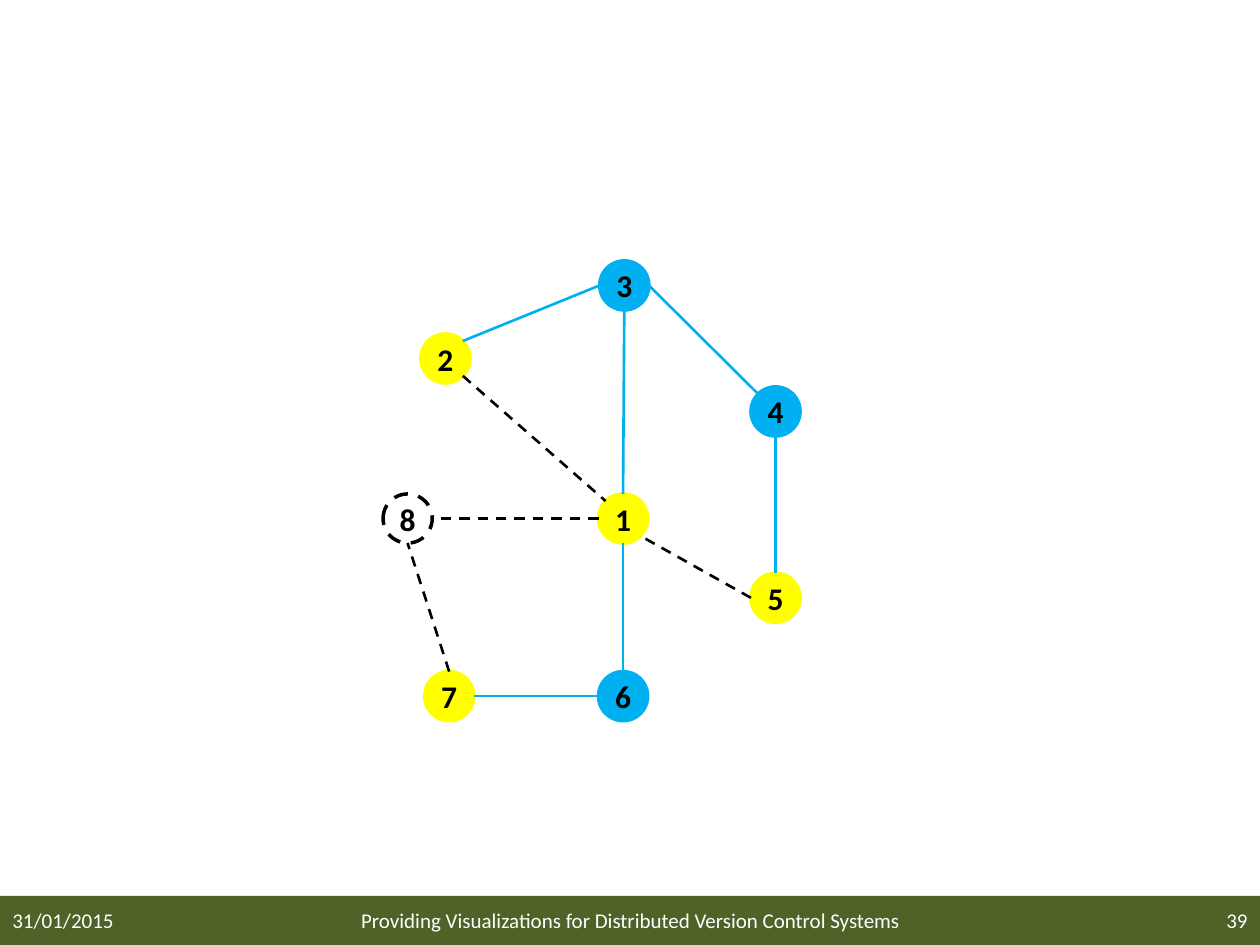
from dataclasses import dataclass

from lxml import etree
from pptx import Presentation
from pptx.dml.color import RGBColor
from pptx.enum.dml import MSO_LINE
from pptx.enum.shapes import MSO_CONNECTOR, MSO_SHAPE
from pptx.enum.text import MSO_ANCHOR, PP_ALIGN
from pptx.oxml.ns import qn
from pptx.util import Inches, Pt

DASH = MSO_LINE.DASH
LINE = MSO_CONNECTOR.STRAIGHT
OVAL, RECT = MSO_SHAPE.OVAL, MSO_SHAPE.RECTANGLE
MIDDLE = MSO_ANCHOR.MIDDLE
LEFT, CENTER, RIGHT = PP_ALIGN.LEFT, PP_ALIGN.CENTER, PP_ALIGN.RIGHT


@dataclass(frozen=True)
class Theme:
    font: str = "Calibri"
    blue: RGBColor = RGBColor(0x00, 0xB0, 0xF0)
    yellow: RGBColor = RGBColor(0xFF, 0xFF, 0x00)
    black: RGBColor = RGBColor(0x00, 0x00, 0x00)
    white: RGBColor = RGBColor(0xFF, 0xFF, 0xFF)
    green: RGBColor = RGBColor(0x4F, 0x62, 0x28)
    node_size: Pt = Pt(18)
    foot_size: Pt = Pt(12)
    node_line: Pt = Pt(2)
    edge_line: Pt = Pt(1.5)


THEME = Theme()
SIZE = 0.39
DIAG = 0.71
SITES = {
    "n": (0, -1), "s": (0, 1), "w": (-1, 0), "e": (1, 0),
    "nw": (-DIAG, -DIAG), "ne": (DIAG, -DIAG),
    "sw": (-DIAG, DIAG), "se": (DIAG, DIAG),
}

# Label: left, top, fill (None for a dashed outline)
NODES = {
    "1": (4.75, 3.92, THEME.yellow),
    "2": (3.34, 2.65, THEME.yellow),
    "3": (4.76, 2.07, THEME.blue),
    "4": (5.96, 3.07, THEME.blue),
    "5": (5.96, 4.55, THEME.yellow),
    "6": (4.75, 5.33, THEME.blue),
    "7": (3.37, 5.33, THEME.yellow),
    "8": (3.04, 3.92, None),
}

# Start node and side, end node and side
SOLID = [
    ("3", "s", "1", "n"),
    ("3", "w", "2", "ne"),
    ("3", "e", "4", "nw"),
    ("4", "s", "5", "n"),
    ("1", "s", "6", "n"),
    ("6", "w", "7", "e"),
]
DASHED = [
    ("1", "w", "8", "e"),
    ("2", "se", "1", "nw"),
    ("5", "w", "1", "se"),
    ("7", "n", "8", "s"),
]

# Text, left, width, alignment
FOOTER = [
    ("31/01/2015", 0, 2.33, LEFT),
    ("Providing Visualizations for Distributed Version Control Systems",
     2.42, 5.17, CENTER),
    ("39", 7.67, 2.33, RIGHT),
]


def set_text(frame, text, size, color, align, bold=False):
    frame.word_wrap = True
    frame.vertical_anchor = MIDDLE
    para = frame.paragraphs[0]
    para.text = text
    para.alignment = align
    font = para.font
    font.name, font.size, font.bold = THEME.font, size, bold
    font.color.rgb = color


def add_node(slide, label, left, top, fill):
    node = slide.shapes.add_shape(
        OVAL, Inches(left), Inches(top), Inches(SIZE), Inches(SIZE))
    node.shadow.inherit = False
    node.line.width = THEME.node_line
    if fill is None:
        node.fill.background()
        node.line.color.rgb = THEME.black
        node.line.dash_style = DASH
    else:
        node.fill.solid()
        node.fill.fore_color.rgb = fill
        node.line.color.rgb = fill
    frame = node.text_frame
    frame.margin_left = frame.margin_right = Inches(0.04)
    frame.margin_top = frame.margin_bottom = Inches(0.04)
    set_text(frame, label, THEME.node_size, THEME.black, CENTER, bold=True)


def site(label, side):
    """Return the point on a node's rim that faces the given side."""
    left, top, _ = NODES[label]
    across, down = SITES[side]
    half = SIZE / 2
    return Inches(left + half * (1 + across)), Inches(top + half * (1 + down))


def add_edge(slide, start, leave, end, enter, color, dash=None):
    edge = slide.shapes.add_connector(
        LINE, *site(start, leave), *site(end, enter))
    edge.line.color.rgb = color
    edge.line.width = THEME.edge_line
    edge.line.dash_style = dash
    etree.SubElement(edge._element.spPr, qn("a:effectLst"))


def add_footer(slide):
    band = slide.shapes.add_shape(
        RECT, 0, Inches(7.11), Inches(10), Inches(0.39))
    band.shadow.inherit = False
    band.fill.solid()
    band.fill.fore_color.rgb = THEME.green
    band.line.fill.background()
    for text, left, width, align in FOOTER:
        box = slide.shapes.add_textbox(
            Inches(left), Inches(7.1), Inches(width), Inches(0.4))
        set_text(box.text_frame, text, THEME.foot_size, THEME.white, align)


def main():
    deck = Presentation()
    deck.slide_width, deck.slide_height = Inches(10), Inches(7.5)
    slide = deck.slides.add_slide(deck.slide_layouts[6])
    add_footer(slide)
    for label, place in NODES.items():
        add_node(slide, label, *place)
    for ends in SOLID:
        add_edge(slide, *ends, THEME.blue)
    for ends in DASHED:
        add_edge(slide, *ends, THEME.black, DASH)
    deck.save("out.pptx")


if __name__ == "__main__":
    main()
